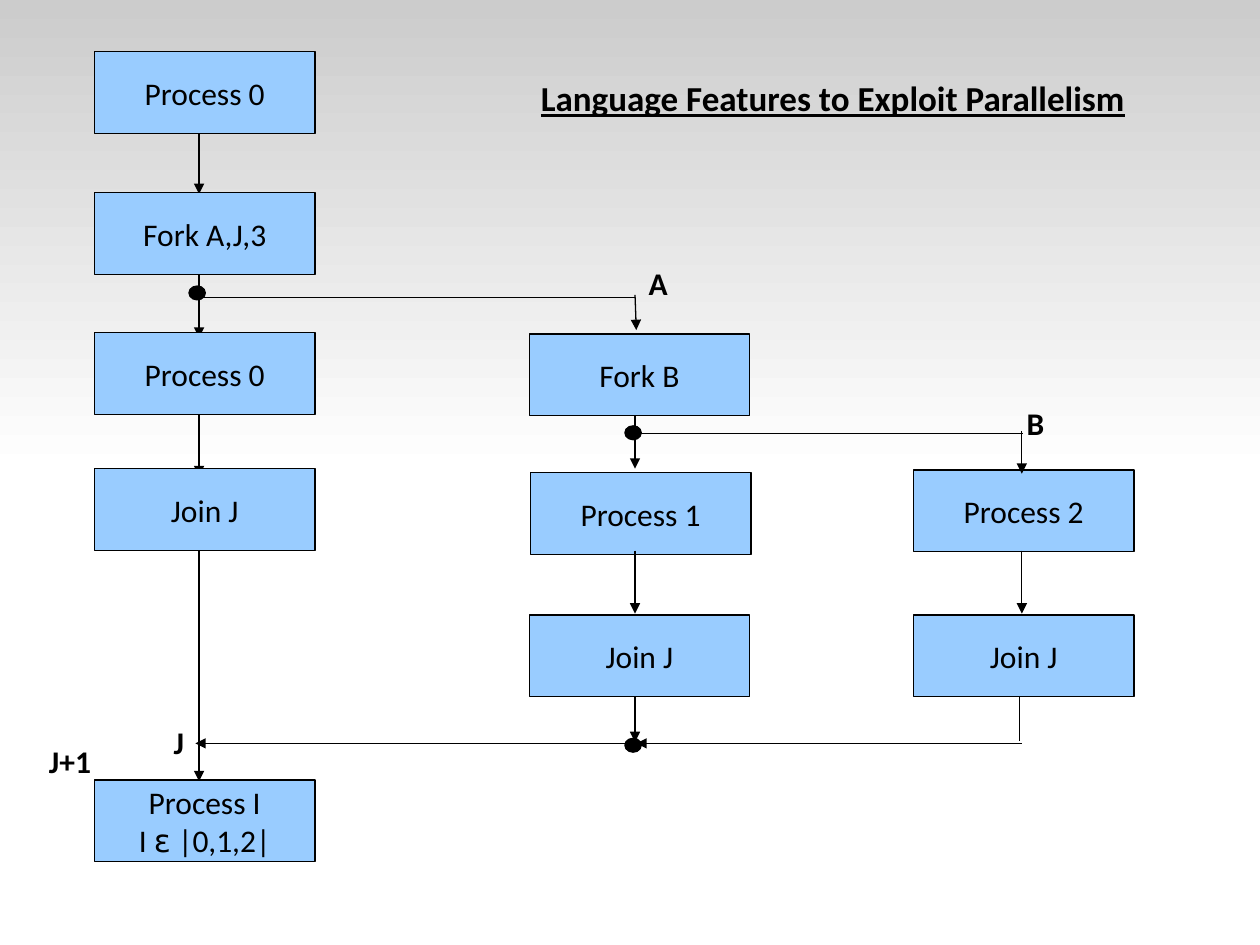
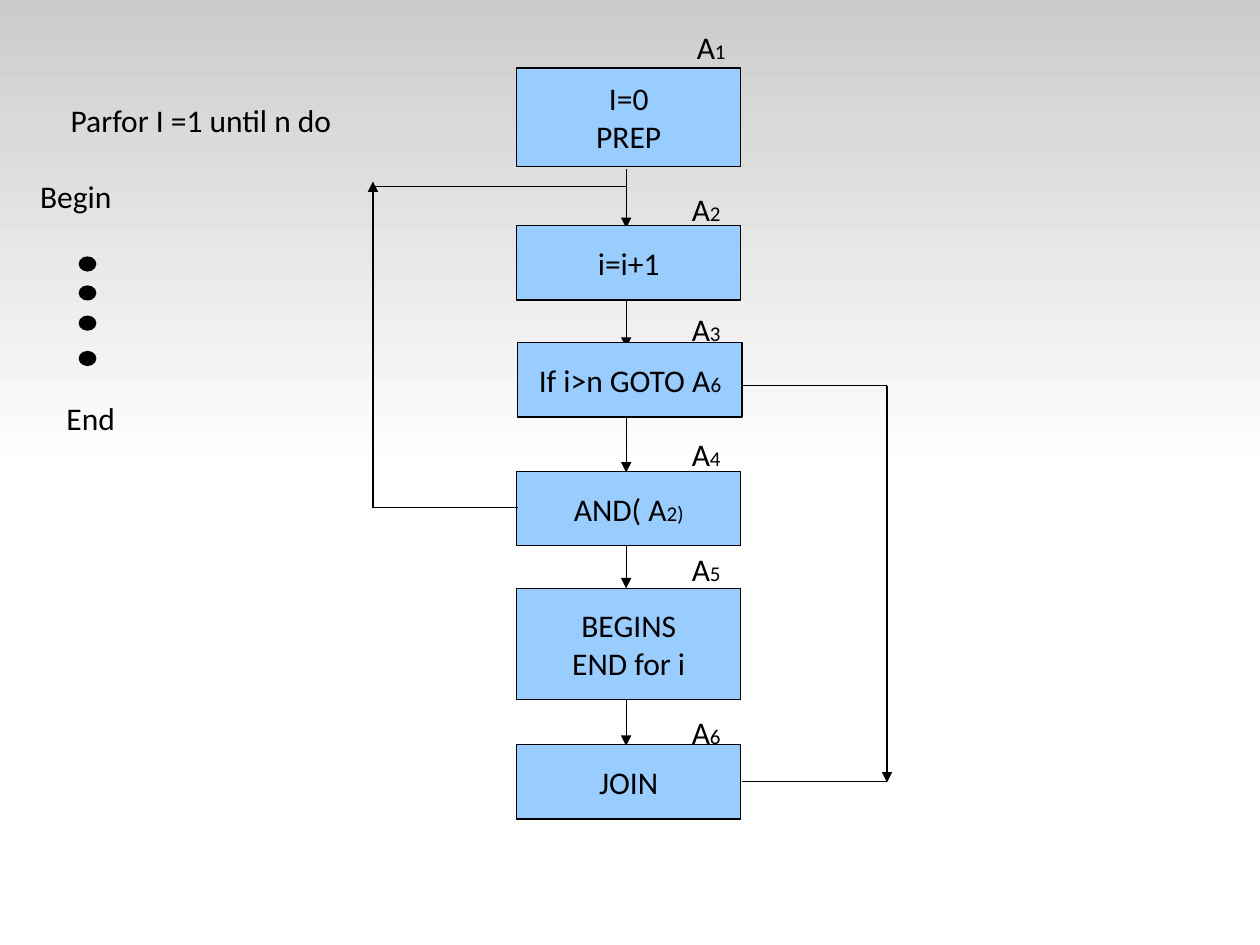
"""Build two flowchart slides: fork/join processes and a parallel for loop."""
from lxml import etree
from pptx import Presentation, util as u
from pptx.dml.color import RGBColor
from pptx.enum import shapes, text
from pptx.oxml.ns import qn

COLORS = {"ink": "000000", "box": "99CCFF", "band": "CCCCCC", "paper": "FFFFFF"}
RGB = {name: RGBColor.from_string(value) for name, value in COLORS.items()}
FONT, SYMBOL_FONT = "Calibri", "DejaVu Sans"
RECT, OVAL, BAND = (shapes.MSO_SHAPE.RECTANGLE, shapes.MSO_SHAPE.OVAL,
                    shapes.MSO_SHAPE.ROUNDED_RECTANGLE)
LEFT, CENTER = text.PP_ALIGN.LEFT, text.PP_ALIGN.CENTER


def write(sp, content, align, wrap, size=18, bold=False, underline=False):
    """Fill a shape with lines; underscores split off small or symbol runs."""
    tf = sp.text_frame
    tf.word_wrap = wrap
    for i, line in enumerate(content.split("\n")):
        p = tf.paragraphs[0] if i == 0 else tf.add_paragraph()
        p.alignment = align
        for j, piece in enumerate(line.split("_")):
            r = p.add_run()
            r.text = piece
            r.font.name = SYMBOL_FONT if piece == "ɛ" else FONT
            r.font.size = u.Pt(12 if j % 2 and piece != "ɛ" else size)
            r.font.bold, r.font.underline = bold, underline
            r.font.color.rgb = RGB["ink"]


def connect(s, x1, y1, x2, y2, arrow=True):
    """Draw a thin line, with an arrowhead at its end if wanted."""
    c = s.shapes.add_connector(shapes.MSO_CONNECTOR.STRAIGHT, *map(u.Inches, (x1, y1, x2, y2)))
    c.line.color.rgb = RGB["ink"]
    c.line.width = u.Pt(0.75)
    if arrow:
        etree.SubElement(c.line._get_or_add_ln(), qn("a:tailEnd"), type="triangle")
    etree.SubElement(c._element.spPr, qn("a:effectLst"))


MAIN, MID, RIGHT = 1.58, 5.04, 8.11
COL1, COL2, COL3 = 0.75, 4.2, 7.25
STEP, BACK, SKIP = 4.97, 2.96, 7.04

fork_join = {
    "box_width": 1.75,
    "under": [(MID, 5.39, MID, 5.89), (8.09, 5.38, 8.09, 5.88, False), (MID, 3.22, MID, 3.72)]
    + [(MAIN, y, MAIN, y + 0.5) for y in (1.04, 2.18, 3.28)]
    + [(MAIN, 4.19, MAIN, 6.2)],
    "boxes": [(COL1, 0.41, 0.65, "Process 0"), (COL1, 1.53, 0.65, "Fork A,J,3"),
              (COL1, 2.64, 0.65, "Process 0"), (COL1, 3.72, 0.65, "Join J"),
              (COL1, 6.19, 0.65, "Process I\nI _ɛ_ |0,1,2|"),
              (COL2, 2.65, 0.65, "Fork B"), (4.21, 3.75, 0.65, "Process 1"),
              (COL2, 4.88, 0.65, "Join J"),
              (COL3, 3.73, 0.65, "Process 2"), (COL3, 4.88, 0.65, "Join J")],
    "over": [(x, 4.37, x, 4.87) for x in (MID, RIGHT)]
    + [(RIGHT, 3.42, RIGHT, 3.76), (MID, 3.44, 8.12, 3.44, False),
       (4.97, 5.9, 1.55, 5.9), (RIGHT, 5.9, 5.05, 5.9),
       (1.55, 2.36, MID, 2.36, False), (MID, 2.34, 5.05, 2.62)],
    "dots": [(4.96, 3.38), (4.96, 5.86), (1.5, 2.27)],
    "label_style": {"align": LEFT, "bold": True},
    "labels": [(5.05, 2.05, 0.5, 0.4, "A"), (8.05, 3.16, 0.5, 0.4, "B"),
               (1.28, 5.69, 0.5, 0.5, "J"), (0.29, 5.84, 0.74, 0.5, "J+1")],
}
parallel_for = {
    "box_width": 1.78,
    "under": [(5.03, 3.06, SKIP, 3.06, False)]
    + [(STEP, y, STEP, y + 0.47) for y in (1.34, 2.29, 3.28, 4.2, 5.45)],
    "boxes": [(4.1, 0.54, 0.78, "I=0\nPREP"), (4.1, 1.79, 0.59, "i=i+1"),
              (4.11, 2.72, 0.59, "If i>n GOTO A_6"), (4.1, 3.74, 0.59, "AND( A_2)"),
              (4.1, 4.67, 0.88, "BEGINS\nEND for i"), (4.1, 5.91, 0.59, "JOIN")],
    "over": [(STEP, 1.48, BACK, 1.48, False), (4.11, 4.03, BACK, 4.03, False),
             (BACK, 4.03, BACK, 1.44), (5.89, 6.2, SKIP, 6.2, False),
             (SKIP, 3.06, SKIP, 6.21)],
    "dots": [(0.63, y) for y in (2.04, 2.27, 2.51, 2.79)],
    "label_style": {"align": CENTER},
    "labels": [(5.31, 0.17, 0.67, 0.4, "A_1")]
    + [(5.27, y, 0.67, 0.4, f"A_{n}")
       for n, y in enumerate((1.46, 2.41, 3.4, 4.32, 5.61), 2)]
    + [(0.23, 3.12, 0.98, 0.4, "End")],
}

prs = Presentation()
prs.slide_width, prs.slide_height = u.Inches(10), u.Inches(7.5)

for chart in (fork_join, parallel_for):
    s = prs.slides.add_slide(prs.slide_layouts[6])
    band = s.shapes.add_shape(BAND, 0, 0, prs.slide_width, u.Inches(3.75))
    band.adjustments[0] = 0
    band.shadow.inherit = False
    band.line.fill.background()
    band.fill.gradient()
    band.fill.gradient_angle = 270
    for stop, name, position in zip(band.fill.gradient_stops, ("band", "paper"), (0, 1)):
        stop.color.rgb = RGB[name]
        stop.position = position

    for line in chart["under"]:
        connect(s, *line)
    nodes = [(RECT, "box", x, y, chart["box_width"], h, label) for x, y, h, label in chart["boxes"]]
    nodes += [(OVAL, "ink", x, y, 0.13, 0.11, "") for x, y in chart["dots"]]
    for kind, fill, x, y, w, h, label in nodes:
        sp = s.shapes.add_shape(kind, *map(u.Inches, (x, y, w, h)))
        sp.shadow.inherit = False
        sp.fill.solid()
        sp.fill.fore_color.rgb = RGB[fill]
        sp.line.color.rgb = RGB["ink"]
        sp.line.width = u.Pt(0.75)
        if label:
            write(sp, label, CENTER, False)
    for line in chart["over"]:
        connect(s, *line)
    for *place, label in chart["labels"]:
        write(s.shapes.add_textbox(*map(u.Inches, place)), label, wrap=True, **chart["label_style"])

title = prs.slides[0].shapes.add_textbox(*map(u.Inches, (1.86, 0.56, 9.5, 0.4)))
write(title, "Language Features to Exploit Parallelism", CENTER, True, 20, True, True)

loop = prs.slides[1].shapes.add_textbox(*map(u.Inches, (-0.06, 0.75, 3.31, 1)))
write(loop, "Parfor I =1 until n do\nBegin", CENTER, True)
begin = loop.text_frame.paragraphs[1]
begin.alignment = LEFT
begin.space_before = u.Pt(22)
begin._p.get_or_add_pPr().set("marL", str(u.Inches(0.28)))

prs.save("out.pptx")
